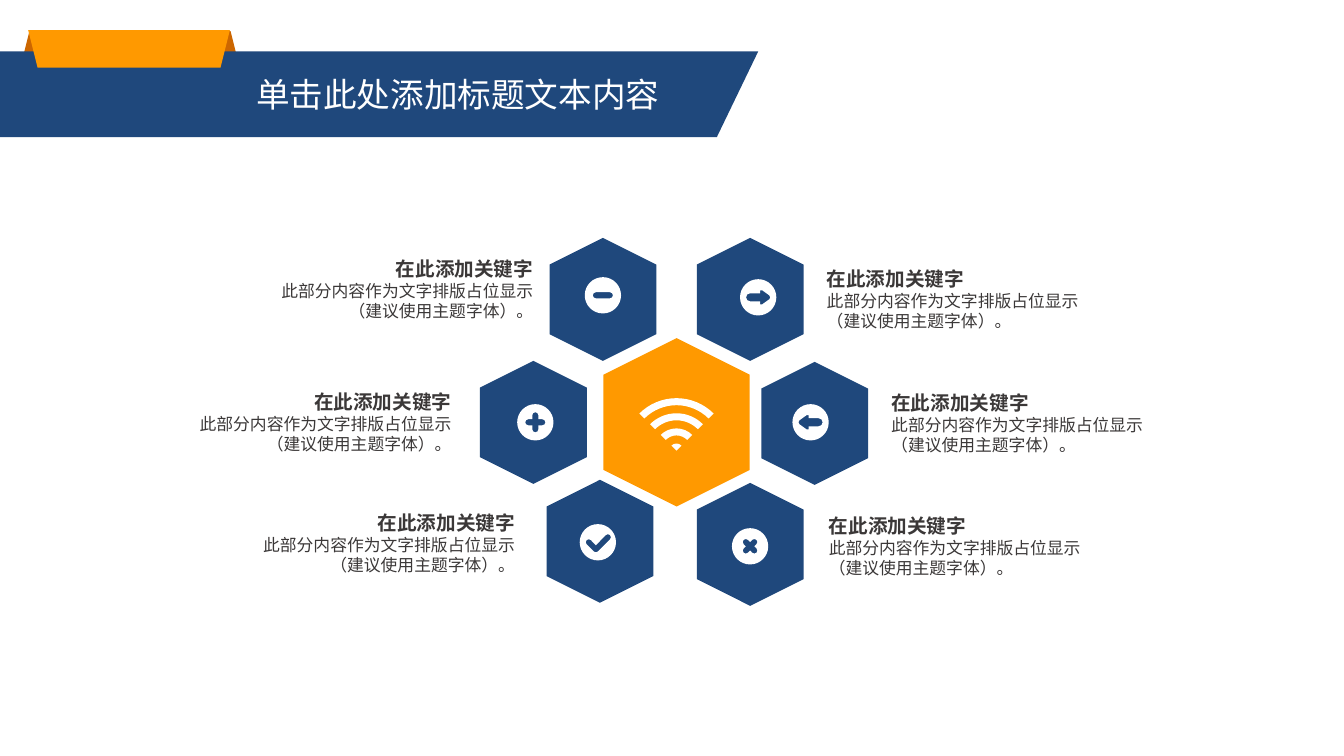
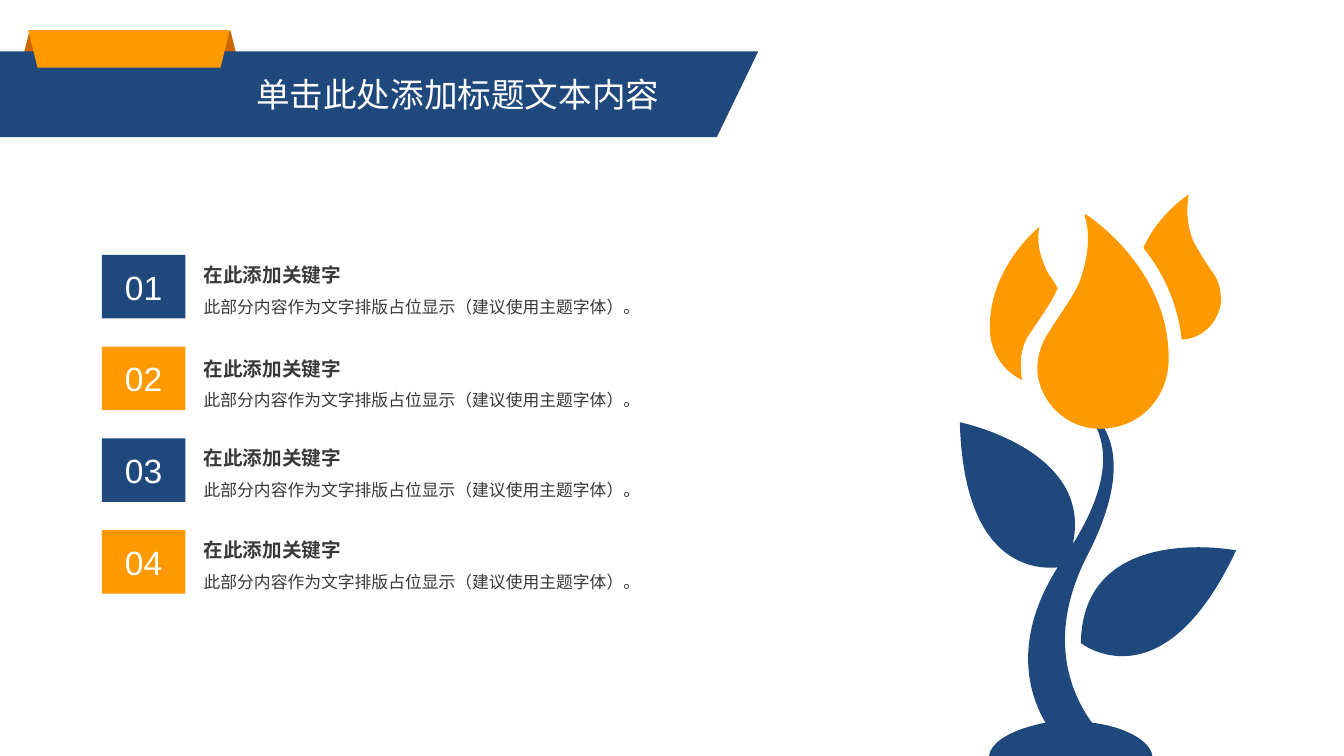
from math import cos, sin, tan, radians, sqrt

from lxml.etree import SubElement
from pptx import Presentation
from pptx.dml.color import RGBColor
from pptx.enum.shapes import MSO_SHAPE
from pptx.enum.text import MSO_ANCHOR, PP_ALIGN
from pptx.oxml.ns import qn
from pptx.util import Inches, Pt

BLUE = RGBColor(0x1F, 0x48, 0x7C)
ORANGE = RGBColor(0xFF, 0x99, 0x00)
RUST = RGBColor(0xCC, 0x66, 0x00)
GREY = RGBColor(0x3B, 0x38, 0x38)
WHITE = RGBColor(0xFF, 0xFF, 0xFF)
FONT = "Arial"

# Content
TITLE = "单击此处添加标题文本内容"
KEYWORD = "在此添加关键字"
BODY = ("此部分内容作为文字排版占位显示", "（建议使用主题字体）。")
# Number and top of the text beside it
NUMBERS = [("01", 2.42), ("02", 3.35), ("03", 4.24), ("04", 5.15)]

# Hexagon centre, icon, icon centre, text box corner, alignment
HEXAGONS = [
    ((5.98, 2.97), "minus", (5.98, 2.93), (1.49, 2.48), PP_ALIGN.RIGHT),
    ((5.29, 4.19), "plus", (5.31, 4.19), (0.68, 3.8), PP_ALIGN.RIGHT),
    ((5.95, 5.37), "check", (5.93, 5.38), (1.31, 5), PP_ALIGN.RIGHT),
    ((7.44, 2.97), "right", (7.52, 2.95), (8.07, 2.58), PP_ALIGN.LEFT),
    ((8.08, 4.2), "left", (8.04, 4.19), (8.71, 3.81), PP_ALIGN.LEFT),
    ((7.44, 5.4), "cross", (7.44, 5.42), (8.09, 5.03), PP_ALIGN.LEFT),
]
HUB = (6.71, 4.19)

# Outlines: a start point, then lines (x, y) or curves (two controls, end)
BAND = [(0, 0.51), (7.52, 0.51), (7.11, 1.36), (0, 1.36)]
RIGHT_LEAF = [(10.72, 6.38), (10.72, 6.38, 11.53, 7.02, 12.26, 5.46),
              (12.26, 5.46, 10.74, 5.17, 10.72, 6.38)]
STEM = [(10.83, 7.17), (10.6, 6.85, 10.39, 6.29, 10.78, 5.52),
        (11.47, 4.19, 10.6, 3.96, 10.6, 3.96),
        (10.6, 3.96, 11.34, 4.28, 10.64, 5.4),
        (10.85, 4.46, 9.52, 4.19, 9.52, 4.19),
        (9.56, 5.61, 10.26, 5.65, 10.49, 5.63),
        (10.06, 6.31, 10.18, 6.85, 10.37, 7.17),
        (10.06, 7.23, 9.83, 7.35, 9.81, 7.5), (11.43, 7.5),
        (11.41, 7.35, 11.16, 7.21, 10.83, 7.17)]
MIDDLE_PETAL = [(10.76, 2.12), (10.76, 2.15),
                (10.79, 2.24, 10.83, 2.45, 10.71, 2.79),
                (10.65, 2.94, 10.51, 3.12, 10.4, 3.3),
                (10.32, 3.42, 10.28, 3.56, 10.29, 3.7),
                (10.33, 4.04, 10.64, 4.29, 10.98, 4.25),
                (11.33, 4.22, 11.62, 3.92, 11.59, 3.49),
                (11.55, 2.61, 10.76, 2.12, 10.76, 2.12)]
RIGHT_PETAL = [(12.04, 2.72), (11.96, 2.61, 11.88, 2.48, 11.83, 2.38),
               (11.75, 2.16, 11.78, 2.01, 11.79, 1.93),
               (11.79, 1.93, 11.49, 2.12, 11.34, 2.46),
               (11.52, 2.68, 11.68, 2.99, 11.72, 3.37),
               (11.92, 3.36, 12.08, 3.21, 12.11, 3),
               (12.11, 2.9, 12.1, 2.81, 12.04, 2.72)]
LEFT_PETAL = [(10.13, 3.7), (10.11, 3.55, 10.14, 3.41, 10.22, 3.3),
              (10.32, 3.15, 10.43, 3, 10.49, 2.86),
              (10.46, 2.8, 10.43, 2.76, 10.4, 2.72),
              (10.28, 2.49, 10.29, 2.34, 10.31, 2.25),
              (10.31, 2.25, 9.78, 2.67, 9.82, 3.31),
              (9.84, 3.53, 9.98, 3.7, 10.14, 3.77),
              (10.13, 3.74, 10.13, 3.72, 10.13, 3.7)]
FLOWER = [([RIGHT_LEAF, STEM], BLUE), ([MIDDLE_PETAL], ORANGE),
          ([RIGHT_PETAL], ORANGE), ([LEFT_PETAL], ORANGE)]


# Geometry of the icons, in the same outline form
def arc(cx, cy, r, start, end, parts=2):
    step = radians(end - start) / parts
    k = 4 / 3 * tan(step / 4)
    a = radians(start)
    outline = [(cx + r * cos(a), cy + r * sin(a))]
    for _ in range(parts):
        b = a + step
        outline.append((cx + r * (cos(a) - k * sin(a)), cy + r * (sin(a) + k * cos(a)),
                        cx + r * (cos(b) + k * sin(b)), cy + r * (sin(b) - k * cos(b)),
                        cx + r * cos(b), cy + r * sin(b)))
        a = b
    return outline


def star(angles, reach=0.07, r=0.03):
    """Round-ended arms around the origin, with inner corners if there are four."""
    outline = []
    for a in angles:
        t = radians(a)
        outline += arc(reach * cos(t), reach * sin(t), r, a - 90, a + 90)
        if len(angles) == 4:
            t = radians(a + 45)
            outline.append((r * sqrt(2) * cos(t), r * sqrt(2) * sin(t)))
    return outline


def shift(outline, cx, cy):
    return [tuple(v + (cx, cy)[i % 2] for i, v in enumerate(seg)) for seg in outline]


HEAD = [(0.02, -0.07), (0.04, -0.07), (0.11, -0.02), (0.12, 0),
        (0.11, 0.02), (0.04, 0.07), (0.02, 0.07), (0.02, 0.04)]
ARROW = arc(-0.08, 0, 0.04, 90, 270) + [(0.02, -0.04)] + HEAD
GLYPHS = {
    "minus": star([0, 180]),
    "plus": star([0, 90, 180, 270]),
    "cross": star([45, 135, 225, 315], reach=0.06),
    "check": (arc(-0.02, 0.07, 0.03, 45, 135, parts=1) + arc(-0.09, 0, 0.03, 135, 315)
              + [(-0.02, 0.03)] + arc(0.1, -0.05, 0.03, 225, 405)),
    "right": ARROW,
    "left": [tuple(-v for v in seg) for seg in ARROW],
}


# Drawing helpers
def paint(sp, color):
    sp.shadow.inherit = False
    sp.fill.solid()
    sp.fill.fore_color.rgb = color
    sp.line.fill.background()
    return sp


def add_shape(s, kind, x, y, w, h, color, rotation=0):
    sp = s.shapes.add_shape(kind, Inches(x), Inches(y), Inches(w), Inches(h))
    sp.rotation = rotation
    return paint(sp, color)


def add_outline(s, outlines, color):
    outlines = [[tuple(Inches(v) for v in seg) for seg in o] for o in outlines]
    builder = s.shapes.build_freeform(*outlines[0][0])
    for i, outline in enumerate(outlines):
        if i:
            builder.move_to(*outline[0])
        builder.add_line_segments([seg[-2:] for seg in outline[1:]], close=True)
    sp = paint(builder.convert_to_shape(), color)
    # Bend the segments that have control points
    lines = list(sp.element.iter(qn("a:lnTo")))
    segments = [seg for outline in outlines for seg in outline[1:]]
    for line, seg in zip(lines, segments):
        if len(seg) == 6:
            line.tag = qn("a:cubicBezTo")
            for i in (0, 1):
                x, y = seg[2 * i] - sp.left, seg[2 * i + 1] - sp.top
                line.insert(i, SubElement(line, qn("a:pt"), x=str(x), y=str(y)))


def write(tf, text, size, color, bold=False, align=PP_ALIGN.LEFT, spacing=None):
    p = tf.paragraphs[0]
    if p.runs:
        p = tf.add_paragraph()
    p.text = text
    p.alignment = align
    if spacing:
        p.line_spacing = spacing
    for r in p.runs:
        r.font.name, r.font.size, r.font.bold = FONT, Pt(size), bold
        r.font.color.rgb = color
    for br in p._p.findall(qn("a:br")):
        SubElement(br, qn("a:rPr"), sz=str(size * 100))


def set_insets(tf):
    tf.margin_left = tf.margin_right = Inches(0.13)
    tf.margin_top = tf.margin_bottom = Inches(0.07)


def add_note(s, x, y, w, h, body, **fmt):
    tf = s.shapes.add_textbox(Inches(x), Inches(y), Inches(w), Inches(h)).text_frame
    tf.word_wrap = True
    set_insets(tf)
    write(tf, KEYWORD, 14, GREY, bold=True, **fmt)
    write(tf, body, 12, GREY, **fmt)


def add_hexagon(s, centre, w, h, color):
    # Turned a quarter, so width and height swap
    cx, cy = centre
    add_shape(s, MSO_SHAPE.HEXAGON, cx - h / 2, cy - w / 2, h, w, color, rotation=90)


def new_slide(prs):
    s = prs.slides.add_slide(prs.slide_layouts[5])
    add_shape(s, MSO_SHAPE.TRAPEZOID, 0.16, 0.31, 2.26, 0.53, RUST)
    add_outline(s, [BAND], BLUE)
    add_shape(s, MSO_SHAPE.TRAPEZOID, 0.28, 0.3, 2, 0.37, ORANGE, rotation=180)
    title = s.shapes.title
    title.left, title.top = Inches(2.41), Inches(0.66)
    title.width, title.height = Inches(4.31), Inches(0.54)
    tf = title.text_frame
    tf.word_wrap = False
    tf.vertical_anchor = MSO_ANCHOR.TOP
    set_insets(tf)
    write(tf, TITLE, 24, WHITE)
    # Bring the title in front of the band
    title.element.getparent().append(title.element)
    return s


def hexagon_slide(prs):
    s = new_slide(prs)
    for centre, *_ in HEXAGONS:
        add_hexagon(s, centre, 1.06, 1.22, BLUE)
    add_hexagon(s, HUB, 1.45, 1.67, ORANGE)
    # Wireless signal: four equally spaced arcs
    waves = []
    for i in range(4):
        outer = 0.52 - 0.15 * i
        waves.append(arc(6.71, 4.47, outer, 225, 315)
                     + arc(6.71, 4.47, outer - 0.07, 315, 225))
    add_outline(s, waves, WHITE)
    # Icons are discs with the glyph cut out
    for _, icon, (cx, cy), _, _ in HEXAGONS:
        disc = arc(cx, cy, 0.18, 0, 360, parts=4)
        add_outline(s, [disc, shift(GLYPHS[icon], cx, cy)], WHITE)
    for *_, (x, y), align in HEXAGONS:
        add_note(s, x, y, 3.93, 0.77, "\v".join(BODY), align=align)


def flower_slide(prs):
    s = new_slide(prs)
    for outlines, color in FLOWER:
        add_outline(s, outlines, color)
    for i, (number, _) in enumerate(NUMBERS):
        box = add_shape(s, MSO_SHAPE.RECTANGLE, 1.01, 2.53 + 0.91 * i, 0.83, 0.63,
                        (BLUE, ORANGE)[i % 2])
        write(box.text_frame, number, 24, WHITE, align=PP_ALIGN.CENTER)
    for _, top in NUMBERS:
        add_note(s, 1.89, top, 7.53, 0.79, "".join(BODY), spacing=1.5)


def main():
    prs = Presentation()
    prs.slide_width, prs.slide_height = Inches(13.33), Inches(7.5)
    hexagon_slide(prs)
    flower_slide(prs)
    prs.save("out.pptx")


if __name__ == "__main__":
    main()
